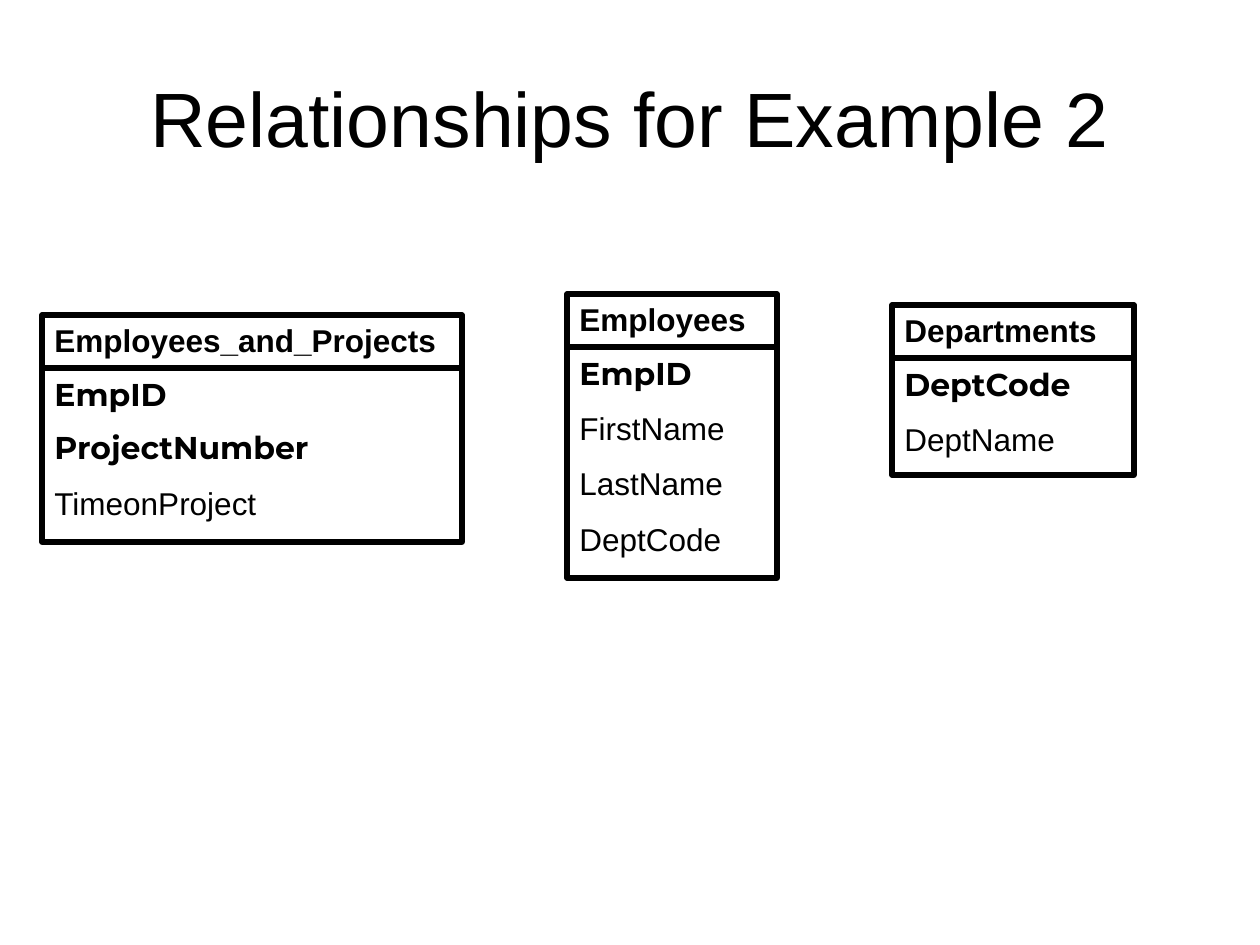
from lxml import etree
from pptx import Presentation
from pptx.dml.color import RGBColor
from pptx.enum.shapes import MSO_CONNECTOR, MSO_SHAPE
from pptx.enum.text import MSO_ANCHOR, PP_ALIGN
from pptx.oxml.ns import qn
from pptx.util import Emu, Pt

RECT = MSO_SHAPE.RECTANGLE
STRAIGHT = MSO_CONNECTOR.STRAIGHT
TOP, MIDDLE = MSO_ANCHOR.TOP, MSO_ANCHOR.MIDDLE
LEFT, CENTER = PP_ALIGN.LEFT, PP_ALIGN.CENTER

BLACK = "000000"
BODY_FONT, KEY_FONT = "Arial", "Montserrat"
HEADER_H = 53

# Table name, box, key fields, other fields
TABLES = [
    ("Employees_and_Projects", (42, 315, 420, 227),
     ["EmpID", "ProjectNumber"], ["TimeonProject"]),
    ("Employees", (567, 294, 210, 284),
     ["EmpID"], ["FirstName", "LastName", "DeptCode"]),
    ("Departments", (892, 305, 242, 170),
     ["DeptCode"], ["DeptName"]),
]


def px(n):
    return Emu(round(n * 914400 / 126))


def color(hex_string):
    return RGBColor.from_string(hex_string)


def add_run(p, text, size, font=BODY_FONT, bold=False):
    r = p.add_run()
    r.text = text
    r.font.name = font
    r.font.size = Pt(size)
    r.font.bold = bold
    r.font.color.rgb = color(BLACK)


def set_line(shape):
    shape.line.color.rgb = color(BLACK)
    shape.line.width = Pt(3)


def add_title(s, text, box):
    title = s.shapes.title
    title.left, title.top, title.width, title.height = map(px, box)
    tf = title.text_frame
    tf.word_wrap = True
    tf.vertical_anchor = MIDDLE
    p = tf.paragraphs[0]
    p.alignment = CENTER
    add_run(p, text, 44)


def add_entity(s, name, box, keys, fields):
    x, y, w, h = box
    group = s.shapes.add_group_shape()

    # Frame with the table name and its fields
    frame = group.shapes.add_shape(RECT, px(x), px(y), px(w), px(h))
    frame.shadow.inherit = False
    frame.fill.background()
    set_line(frame)
    tf = frame.text_frame
    tf.word_wrap = True
    tf.vertical_anchor = TOP
    rows = [(name, BODY_FONT, True, 0)]
    rows += [(key, KEY_FONT, True, 9) for key in keys]
    rows += [(field, BODY_FONT, False, 10) for field in fields]
    for i, (text, font, bold, space) in enumerate(rows):
        p = tf.add_paragraph() if i else tf.paragraphs[0]
        p.alignment = LEFT
        p.space_before = Pt(space)
        add_run(p, text, 18, font, bold)

    # Rule under the table name
    rule = group.shapes.add_connector(
        STRAIGHT, px(x), px(y + HEADER_H), px(x + w), px(y + HEADER_H))
    set_line(rule)
    etree.SubElement(rule._element.spPr, qn("a:effectLst"))


def main():
    prs = Presentation()
    prs.slide_width, prs.slide_height = px(1260), px(945)
    s = prs.slides.add_slide(prs.slide_layouts[5])
    add_title(s, "Relationships for Example 2", (63, 38, 1134, 158))
    for table in TABLES:
        add_entity(s, *table)
    prs.save("out.pptx")


if __name__ == "__main__":
    main()
